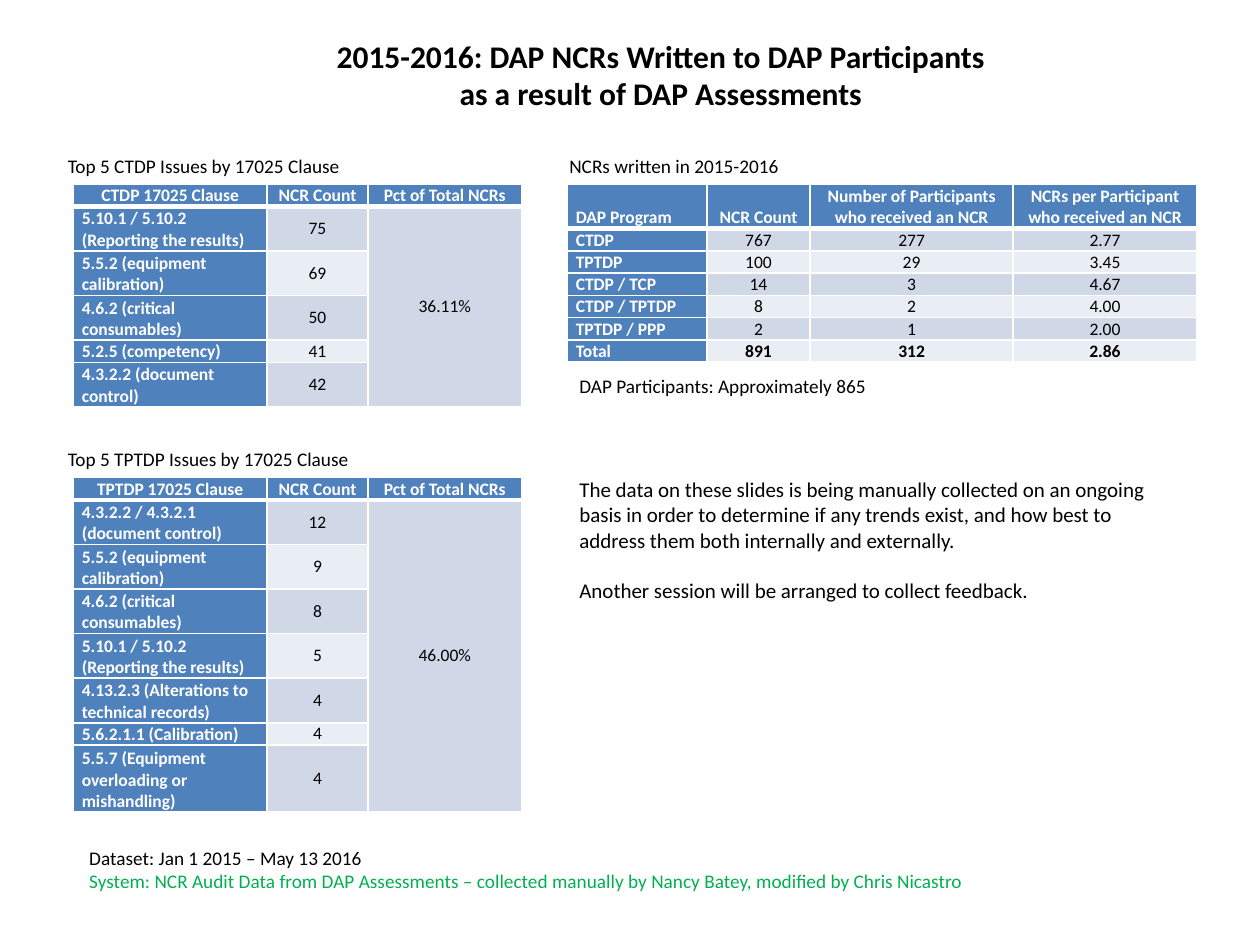
from lxml import etree
from pptx import Presentation, util as u
from pptx.dml.color import RGBColor
from pptx.enum import text
from pptx.oxml.ns import qn

FONT = "Calibri"
BLACK, WHITE, GREEN = "000000", "FFFFFF", "00B050"
BLUE, BANDS = "4F81BD", ("D0D8E8", "E9EDF4")
LEFT_COLUMN, RIGHT_COLUMN = 0.58, 4.5
UPPER_ROW, LOWER_ROW = 1.46, 3.79
CAPTION_HEIGHT = 0.29
LINE = 0.177
CLAUSE_WIDTHS = (1.54, 0.8, 1.22)
TOP, MIDDLE, BOTTOM = (text.MSO_ANCHOR.TOP, text.MSO_ANCHOR.MIDDLE,
                       text.MSO_ANCHOR.BOTTOM)
LEFT, CENTER = text.PP_ALIGN.LEFT, text.PP_ALIGN.CENTER

CTDP_ISSUES = [
    ("5.10.1 / 5.10.2 (Reporting the results)", 75, 2),
    ("5.5.2 (equipment calibration)", 69, 2),
    ("4.6.2 (critical consumables)", 50, 2),
    ("5.2.5 (competency)", 41, 1),
    ("4.3.2.2 (document control)", 42, 2),
]
TPTDP_ISSUES = [
    ("4.3.2.2 / 4.3.2.1 (document control)", 12, 2),
    ("5.5.2 (equipment calibration)", 9, 2),
    ("4.6.2 (critical consumables)", 8, 2),
    ("5.10.1 / 5.10.2 (Reporting the results)", 5, 2),
    ("4.13.2.3 (Alterations to technical records)", 4, 2),
    ("5.6.2.1.1 (Calibration)", 4, 1),
    ("5.5.7 (Equipment overloading or mishandling)", 4, 3),
]
PROGRAMS = [
    ("DAP Program", "NCR Count", "Number of Participants who received an NCR",
     "NCRs per Participant who received an NCR"),
    ("CTDP", "767", "277", "2.77"),
    ("TPTDP", "100", "29", "3.45"),
    ("CTDP / TCP", "14", "3", "4.67"),
    ("CTDP / TPTDP", "8", "2", "4.00"),
    ("TPTDP / PPP", "2", "1", "2.00"),
    ("Total", "891", "312", "2.86"),
]


def color(value):
    return RGBColor.from_string(value)


def style(para, size, ink=BLACK, bold=False, align=LEFT):
    para.alignment = align
    para.font.name = FONT
    para.font.size = u.Pt(size)
    para.font.bold = bold
    para.font.color.rgb = color(ink)


def place(box, left, top, width, height):
    box.left, box.top = u.Inches(left), u.Inches(top)
    box.width, box.height = u.Inches(width), u.Inches(height)


def add_title(page, content, at):
    title = page.shapes.title
    place(title, *at)
    frame = title.text_frame
    frame.text = content
    frame.vertical_anchor = TOP
    frame.word_wrap = False
    frame.auto_size = text.MSO_AUTO_SIZE.NONE
    style(frame.paragraphs[0], 18, bold=True, align=CENTER)


def add_text(page, at, lines, size=11, anchor=MIDDLE, wrap=True, gap=0):
    frame = page.shapes.add_textbox(*map(u.Inches, at)).text_frame
    frame.word_wrap = wrap
    frame.vertical_anchor = anchor
    for index, (content, ink) in enumerate(lines):
        para = frame.paragraphs[0] if index == 0 else frame.add_paragraph()
        para.text = content
        style(para, size, ink)
        if index:
            para.space_before = u.Pt(gap)


def add_borders(cell, row):
    properties = cell._tc.get_or_add_tcPr()
    for side in "LRTB":
        heavy = (row, side) in ((0, "B"), (1, "T"))
        line = etree.SubElement(properties, qn(f"a:ln{side}"),
                                w=str(u.Pt(3 if heavy else 1)))
        fill = etree.SubElement(line, qn("a:solidFill"))
        etree.SubElement(fill, qn("a:srgbClr"), val=WHITE)


def fill_cell(cell, content, row, column, anchor, bold, align):
    label = row == 0 or column == 0
    add_borders(cell, row)
    cell.fill.solid()
    cell.fill.fore_color.rgb = color(BLUE if label else BANDS[(row - 1) % 2])
    cell.margin_left = cell.margin_right = u.Inches(0.07)
    cell.margin_top = cell.margin_bottom = 0
    cell.vertical_anchor = BOTTOM if label else anchor
    cell.text = content
    style(cell.text_frame.paragraphs[0], 10, WHITE if label else BLACK,
          label or bold, align)


def add_grid(page, left, top, widths, line_counts, rows, anchor,
             corner_align=CENTER, bold_last=False):
    heights = [count * LINE for count in line_counts]
    table = page.shapes.add_table(
        len(rows), len(widths), u.Inches(left), u.Inches(top),
        u.Inches(sum(widths)), u.Inches(sum(heights))).table
    for column, width in zip(table.columns, widths):
        column.width = u.Inches(width)
    for r, values in enumerate(rows):
        table.rows[r].height = u.Inches(heights[r])
        bold = bold_last and r == len(rows) - 1
        for c, value in enumerate(values):
            align = CENTER if c else (LEFT if r else corner_align)
            fill_cell(table.cell(r, c), value, r, c, anchor, bold, align)
    return table


def add_issues(page, top, program, issues, share):
    rows = [(f"{program} 17025 Clause", "NCR Count", "Pct of Total NCRs")]
    rows += [(clause, str(count), "" if index else share)
             for index, (clause, count, lines) in enumerate(issues)]
    line_counts = [1] + [lines for clause, count, lines in issues]
    table = add_grid(page, LEFT_COLUMN, top, CLAUSE_WIDTHS, line_counts,
                     rows, MIDDLE)
    table.cell(1, 2).merge(table.cell(len(issues), 2))
    add_text(page, (0.44, top - CAPTION_HEIGHT, 3.3, CAPTION_HEIGHT),
             [(f"Top 5 {program} Issues by 17025 Clause", BLACK)])


def main():
    deck = Presentation()
    deck.slide_width, deck.slide_height = u.Inches(10), u.Inches(7.5)
    page = deck.slides.add_slide(deck.slide_layouts[5])

    add_title(page, "2015-2016: DAP NCRs Written to DAP Participants\v"
              "as a result of DAP Assessments", (2.54, 0.24, 5.41, 0.71))
    add_issues(page, UPPER_ROW, "CTDP", CTDP_ISSUES, "36.11%")
    add_issues(page, LOWER_ROW, "TPTDP", TPTDP_ISSUES, "46.00%")

    add_grid(page, RIGHT_COLUMN, UPPER_ROW, (1.11, 0.82, 1.61, 1.46),
             [2] + [1] * 6, PROGRAMS, BOTTOM, LEFT, bold_last=True)
    add_text(page, (4.42, UPPER_ROW - CAPTION_HEIGHT, 3.3, CAPTION_HEIGHT),
             [("NCRs written in 2015-2016", BLACK)])
    add_text(page, (RIGHT_COLUMN, 2.92, 2.5, CAPTION_HEIGHT),
             [("DAP Participants: Approximately 865", BLACK)],
             anchor=TOP, wrap=False)
    add_text(page, (RIGHT_COLUMN, 3.73, 4.83, 1.11), [
        ("The data on these slides is being manually collected on an ongoing "
         "basis in order to determine if any trends exist, and how best to "
         "address them both internally and externally.", BLACK),
        ("Another session will be arranged to collect feedback.", BLACK),
    ], size=12, gap=14.5)
    add_text(page, (0.61, 6.67, 7.21, 0.47), [
        ("Dataset: Jan 1 2015 – May 13 2016", BLACK),
        ("System: NCR Audit Data from DAP Assessments – collected manually "
         "by Nancy Batey, modified by Chris Nicastro", GREEN),
    ], anchor=TOP, wrap=False)

    deck.save("out.pptx")


if __name__ == "__main__":
    main()
